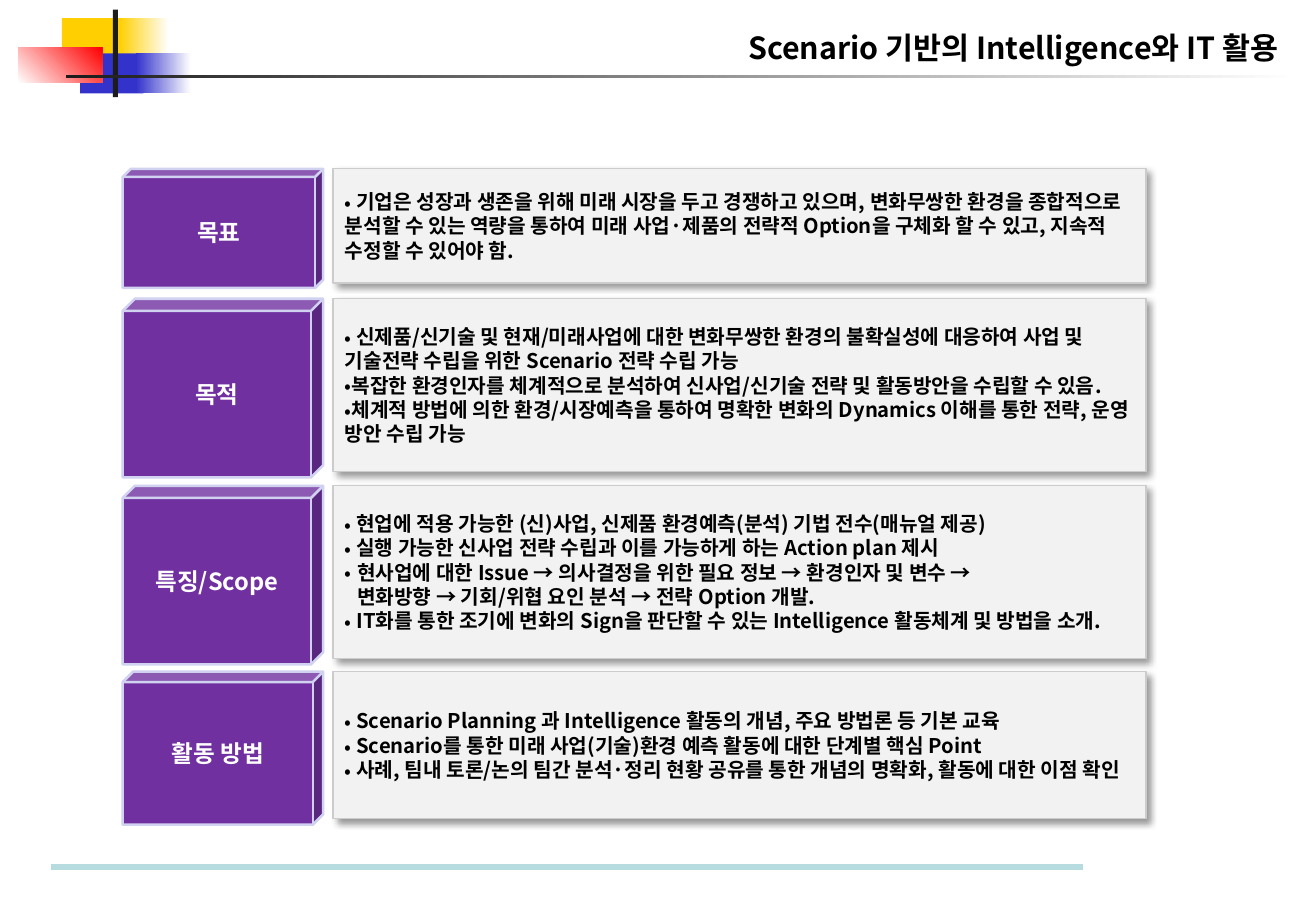
from pptx import Presentation
from pptx import util as u
from pptx.dml.color import RGBColor
from pptx.enum import shapes, text
from pptx.oxml import parse_xml
from pptx.oxml.ns import nsdecls, qn
from lxml import etree

FONT = "Noto Sans CJK KR"
SHAPE = shapes.MSO_SHAPE
ALIGN = text.PP_ALIGN

# label, top, cube height, panel height, bullet points
ROWS = [
    ("목표", 1.39, 0.98, 0.94, [
        " 기업은 성장과 생존을 위해 미래 시장을 두고 경쟁하고 있으며, 변화무쌍한 환경을 종합적으로 분석할 수 있는 역량을 통하여 미래 사업·제품의 전략적 Option을 구체화 할 수 있고, 지속적 수정할 수 있어야 함."]),
    ("목적", 2.46, 1.47, 1.42, [
        " 신제품/신기술 및 현재/미래사업에 대한 변화무쌍한 환경의 불확실성에 대응하여 사업 및 기술전략 수립을 위한 Scenario 전략 수립 가능",
        "복잡한 환경인자를 체계적으로 분석하여 신사업/신기술 전략 및 활동방안을 수립할 수 있음.",
        "체계적 방법에 의한 환경/시장예측을 통하여 명확한 변화의 Dynamics 이해를 통한 전략, 운영 방안 수립 가능"]),
    ("특징/Scope", 4.0, 1.47, 1.42, [
        " 현업에 적용 가능한 (신)사업, 신제품 환경예측(분석) 기법 전수(매뉴얼 제공)",
        " 실행 가능한 신사업 전략 수립과 이를 가능하게 하는 Action plan 제시",
        "현사업에 대한 Issue → 의사결정을 위한 필요 정보 → 환경인자 및 변수 →\v변화방향 → 기회/위협 요인 분석 → 전략 Option 개발.",
        " IT화를 통한 조기에 변화의 Sign을 판단할 수 있는 Intelligence 활동체계 및 방법을 소개."]),
    ("활동 방법", 5.53, 1.26, 1.21, [
        " Scenario Planning 과 Intelligence 활동의 개념, 주요 방법론 등 기본 교육",
        " Scenario를 통한 미래 사업(기술)환경 예측 활동에 대한 단계별 핵심 Point",
        " 사례, 팀내 토론/논의 팀간 분석·정리 현황 공유를 통한 개념의 명확화, 활동에 대한 이점 확인"]),
]


def rgb(value):
    return RGBColor.from_string(value)


def add_box(s, kind, box, fill, line=None, width=0.75):
    sp = s.shapes.add_shape(kind, *map(u.Inches, box))
    sp.shadow.inherit = False
    if isinstance(fill, tuple):
        start, end, angle = fill
        sp.fill.gradient()
        sp.fill.gradient_angle = angle
        for stop, color in zip(sp.fill.gradient_stops, (start, end)):
            stop.color.rgb = rgb(color)
    else:
        sp.fill.solid()
        sp.fill.fore_color.rgb = rgb(fill)
    if line:
        sp.line.color.rgb = rgb(line)
        sp.line.width = u.Pt(width)
    else:
        sp.line.fill.background()
    return sp


def format_paragraph(p, size, color, align):
    p.alignment = align
    for r in p.runs:
        r.font.size = u.Pt(size)
        r.font.bold = True
        r.font.color.rgb = rgb(color)
        r.font.name = FONT
        etree.SubElement(r.font._element, qn("a:ea"), typeface=FONT)


def add_bullet(p, hang):
    pPr = p._p.get_or_add_pPr()
    pPr.set("marL", str(u.Inches(hang)))
    pPr.set("indent", str(-u.Inches(hang)))
    etree.SubElement(pPr, qn("a:buFont"), typeface=FONT)
    etree.SubElement(pPr, qn("a:buChar"), char="•")


def add_drop_shadow(sp):
    effects = sp._element.spPr.find(qn("a:effectLst"))
    effects.append(parse_xml(
        f'<a:outerShdw {nsdecls("a")} blurRad="{u.Pt(4)}" dist="{u.Pt(3)}" dir="2700000" '
        'algn="tl" rotWithShape="0"><a:srgbClr val="000000"><a:alpha val="40000"/>'
        '</a:srgbClr></a:outerShdw>'))


def add_emblem(s, left, top):
    blocks = [
        (0.36, 0.07, 0.54, 0.33, "FFCF01"),
        (0.83, 0.07, 0.41, 0.33, ("FFCF01", "FFFFFF", 0)),
        (0.51, 0.36, 0.52, 0.33, "3333CC"),
        (0.97, 0.36, 0.45, 0.33, ("3333CC", "FFFFFF", 0)),
        (0, 0.31, 0.69, 0.29, ("FFFFFF", "FF0000", 45)),
        (0.78, 0, 0.04, 0.72, "1C1C1C"),
        (0.39, 0.54, 10.14, 0.02, ("1C1C1C", "FFFFFF", 0)),
    ]
    for x, y, w, h, fill in blocks:
        add_box(s, SHAPE.RECTANGLE, (left + x, top + y, w, h), fill)


def add_title(s, left, top, width, height):
    title = s.shapes.title
    title.left, title.top, title.width, title.height = map(
        u.Inches, (left, top, width, height))
    s.shapes.element.append(title.element)  # in front of the fading rule
    tf = title.text_frame
    tf.text = "Scenario 기반의 Intelligence와 IT 활용"
    tf.word_wrap = True
    tf.auto_size = text.MSO_AUTO_SIZE.NONE
    tf.vertical_anchor = text.MSO_ANCHOR.TOP
    format_paragraph(tf.paragraphs[0], 18, "000000", ALIGN.RIGHT)


def add_row(s, left, top, label, cube_height, panel_height, points):
    # Label cube
    cube = add_box(s, SHAPE.CUBE, (left, top, 1.65, cube_height), "7030A0", "D1D1F0", 1.5)
    cube.adjustments[0] = 0.068
    tf = cube.text_frame
    tf.text = label
    tf.vertical_anchor = text.MSO_ANCHOR.MIDDLE
    format_paragraph(tf.paragraphs[0], 14, "FFFFFF", ALIGN.CENTER)

    # Description panel
    panel = add_box(s, SHAPE.RECTANGLE, (left + 1.73, top, 6.69, panel_height),
                    "F2F2F2", "CCCCCC")
    add_drop_shadow(panel)
    tf = panel.text_frame
    tf.word_wrap = True
    tf.vertical_anchor = text.MSO_ANCHOR.MIDDLE
    for i, point in enumerate(points):
        p = tf.add_paragraph() if i else tf.paragraphs[0]
        p.text = point
        add_bullet(p, 0.1 if "\v" in point else 0)
        format_paragraph(p, 12, "000000", ALIGN.LEFT)


def add_footer_rule(s, left, top, width):
    rule = s.shapes.add_connector(shapes.MSO_CONNECTOR.STRAIGHT, *map(
        u.Inches, (left, top, left + width, top)))
    rule.line.color.rgb = rgb("B6DCDF")
    rule.line.width = u.Pt(3.5)
    etree.SubElement(rule._element.spPr, qn("a:effectLst"))


def main():
    prs = Presentation()
    prs.slide_width, prs.slide_height = u.Inches(10.83), u.Inches(7.5)
    s = prs.slides.add_slide(prs.slide_layouts.get_by_name("Title Only"))
    add_emblem(s, 0.15, 0.08)
    add_footer_rule(s, 0.42, 7.14, 8.49)
    add_title(s, 5.91, 0.19, 4.71, 0.4)
    for label, top, cube_height, panel_height, points in ROWS:
        add_row(s, 1.01, top, label, cube_height, panel_height, points)
    prs.save("out.pptx")


if __name__ == "__main__":
    main()
